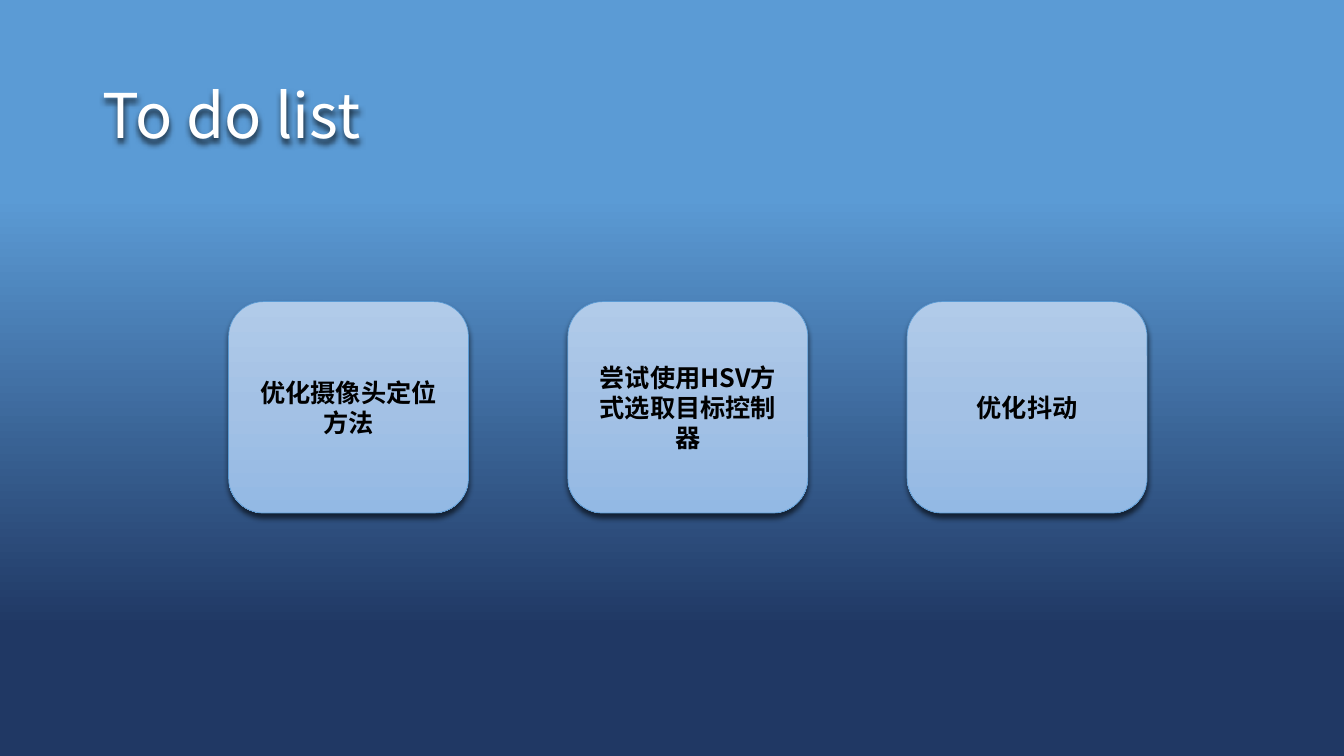
from lxml import etree
from pptx import Presentation
from pptx import util as u
from pptx.dml.color import RGBColor
from pptx.enum import shapes, text
from pptx.oxml.ns import qn

THEME = {
    "font": "Noto Sans CJK SC",
    "title_size": 44,
    "card_size": 18,
    "title_color": "FFFFFF",
    "card_color": "000000",
    "border": "5B9BD5",
    "shadow": "000000",
    "backdrop": [(26, "5B9BD5"), (83, "203864")],
    "card_fill": [(0, "B1CBE9"), (50, "A3C1E5"), (100, "93B9E4")],
}


def write(shape, words, *, size, color, bold=False, align=None, spacing=None, shadow_alpha):
    """Put formatted text in a shape and cast a soft shadow straight down."""
    frame = shape.text_frame
    frame.word_wrap = True
    frame.vertical_anchor = text.MSO_ANCHOR.MIDDLE
    paragraph = frame.paragraphs[0]
    paragraph.alignment = align
    paragraph.line_spacing = spacing
    run = paragraph.add_run()
    run.text = words
    run.font.size = u.Pt(size)
    run.font.bold = bold
    run.font.name = THEME["font"]
    run.font.color.rgb = RGBColor.from_string(color)
    etree.SubElement(run.font._element, qn("a:ea"), typeface=THEME["font"])

    shape.shadow.inherit = False
    effects = shape._element.spPr.find(qn("a:effectLst"))
    shadow = etree.SubElement(effects, qn("a:outerShdw"), blurRad=str(u.Pt(4)),
                              dist=str(u.Pt(3)), dir="5400000", rotWithShape="0")
    tint = etree.SubElement(shadow, qn("a:srgbClr"), val=THEME["shadow"])
    etree.SubElement(tint, qn("a:alpha"), val=str(shadow_alpha * 1000))


def fade_down(fill, properties, stops):
    """Fill from top to bottom with (percent, colour) stops."""
    fill.solid()
    gradient = etree.Element(qn("a:gradFill"), rotWithShape="1")
    stop_list = etree.SubElement(gradient, qn("a:gsLst"))
    for percent, color in stops:
        stop = etree.SubElement(stop_list, qn("a:gs"), pos=str(percent * 1000))
        etree.SubElement(stop, qn("a:srgbClr"), val=color)
    etree.SubElement(gradient, qn("a:lin"), ang="5400000", scaled="0")
    properties.replace(properties.find(qn("a:solidFill")), gradient)


deck = Presentation()
deck.slide_width, deck.slide_height = u.Cm(33.87), u.Cm(19.05)
slide = deck.slides.add_slide(deck.slide_layouts[6])

# Background
backdrop = slide.background.fill
backdrop.solid()
fade_down(backdrop, slide._element.find(".//" + qn("p:bgPr")), THEME["backdrop"])

# Title
title = slide.shapes.add_textbox(u.Cm(2.34), u.Cm(1.14), u.Cm(29.21), u.Cm(3.68))
write(title, "To do list", size=THEME["title_size"], color=THEME["title_color"],
      spacing=0.9, shadow_alpha=75)

# Task cards in one evenly spaced row
tasks = ["优化摄像头定位方法", "尝试使用HSV方式选取目标控制器", "优化抖动"]
first_left, pitch = 5.76, 8.55
for column, task in enumerate(tasks):
    card = slide.shapes.add_shape(
        shapes.MSO_SHAPE.ROUNDED_RECTANGLE,
        u.Cm(first_left + column * pitch), u.Cm(7.6), u.Cm(6.05), u.Cm(5.33))
    fade_down(card.fill, card._element.spPr, THEME["card_fill"])
    card.line.color.rgb = RGBColor.from_string(THEME["border"])
    card.line.width = u.Pt(0.5)
    write(card, task, size=THEME["card_size"], color=THEME["card_color"], bold=True,
          align=text.PP_ALIGN.CENTER, shadow_alpha=60)

deck.save("out.pptx")
